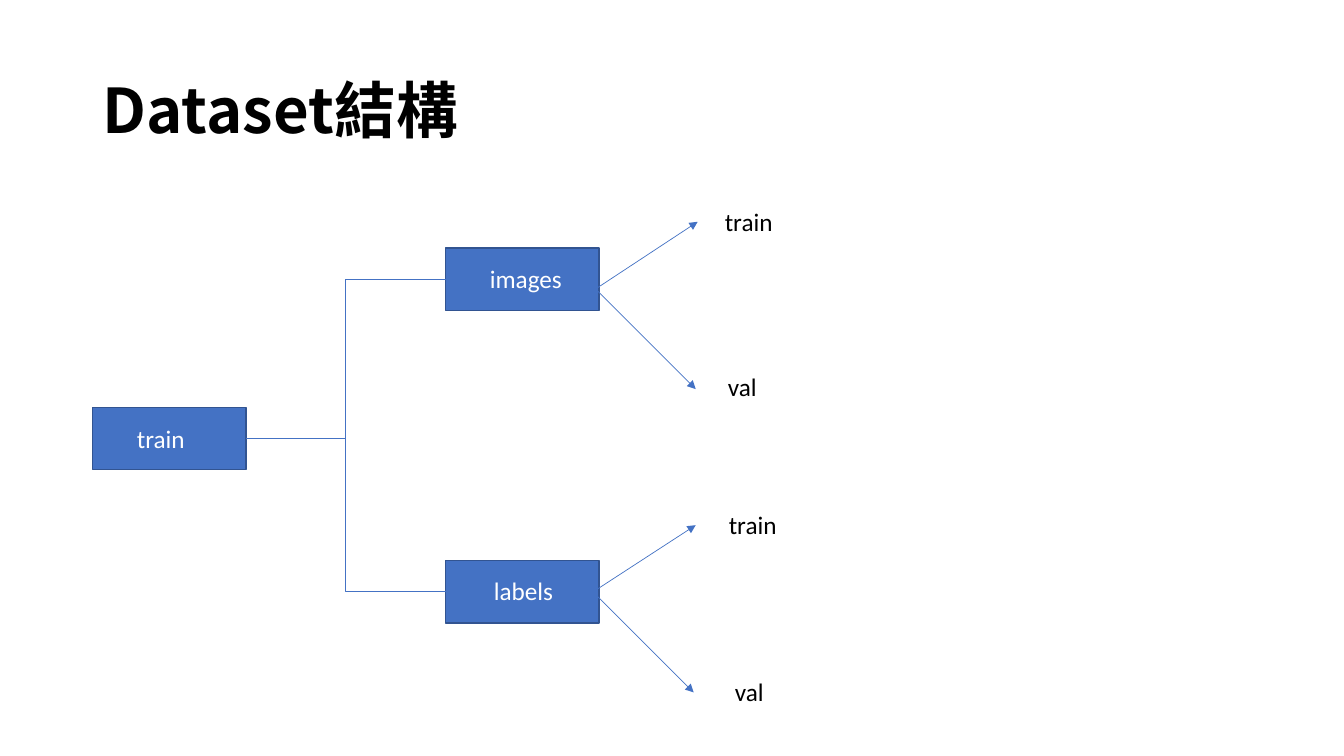
from dataclasses import dataclass

from lxml import etree
from pptx import Presentation
from pptx import util as u
from pptx.dml.color import RGBColor
from pptx.enum import shapes, text
from pptx.oxml import ns


@dataclass(frozen=True)
class Theme:
    """Colours, fonts and type sizes of the slide."""
    ink: str = "000000"
    paper: str = "FFFFFF"
    accent: str = "4472C4"
    border: str = "325491"
    body_font: str = "Calibri"
    title_font: str = "Noto Sans CJK SC"
    body_size: float = 18
    title_size: float = 44
    border_width: float = 1
    link_width: float = 0.5


@dataclass(frozen=True)
class Folder:
    """A folder box with the place of its name."""
    name: str
    left: float
    top: float
    name_left: float
    name_top: float


@dataclass(frozen=True)
class Split:
    """An arrow from a folder to a named subset."""
    name: str
    start: tuple[float, float]
    end: tuple[float, float]
    name_left: float
    name_top: float


THEME = Theme()
FOLDER_SIZE = (1.52, 0.62)
NAME_SIZE = (1.28, 0.4)
ROOT = Folder("train", 0.92, 4.04, 1.26, 4.15)
BRANCHES = {
    Folder("images", 4.42, 2.46, 4.76, 2.56): (
        Split("train", (5.69, 3.01), (6.92, 2.2), 7.09, 2),
        Split("val", (5.9, 2.86), (6.9, 3.86), 7.12, 3.63),
    ),
    Folder("labels", 4.42, 5.56, 4.8, 5.66): (
        Split("train", (5.67, 6.01), (6.9, 5.21), 7.13, 5),
        Split("val", (5.88, 5.87), (6.88, 6.87), 7.19, 6.66),
    ),
}


def add_text(slide, words: str, left: float, top: float, size=NAME_SIZE, *,
             color: str = THEME.ink, font: str = THEME.body_font,
             points: float = THEME.body_size, bold: bool = False,
             anchor=text.MSO_ANCHOR.TOP, spacing: float = 1.0, grow: bool = True):
    """Place one line of text with the given format."""
    label = slide.shapes.add_textbox(*map(u.Inches, (left, top, *size)))
    frame = label.text_frame
    frame.word_wrap = True
    frame.vertical_anchor = anchor
    frame.auto_size = (text.MSO_AUTO_SIZE.SHAPE_TO_FIT_TEXT if grow
                       else text.MSO_AUTO_SIZE.NONE)
    paragraph = frame.paragraphs[0]
    paragraph.line_spacing = spacing
    run = paragraph.add_run()
    run.text = words
    run.font.name, run.font.size, run.font.bold = font, u.Pt(points), bold
    run.font.color.rgb = RGBColor.from_string(color)
    east_asian = etree.SubElement(run.font._element, ns.qn("a:ea"))
    east_asian.set("typeface", font)
    return label


def add_folder(slide, folder: Folder):
    """Draw the box of a folder."""
    box = slide.shapes.add_shape(
        shapes.MSO_SHAPE.RECTANGLE,
        *map(u.Inches, (folder.left, folder.top, *FOLDER_SIZE)))
    box.shadow.inherit = False
    box.fill.solid()
    box.fill.fore_color.rgb = RGBColor.from_string(THEME.accent)
    box.line.color.rgb = RGBColor.from_string(THEME.border)
    box.line.width = u.Pt(THEME.border_width)
    return box


def add_link(parent, kind, start=(0, 0), end=(0, 0), arrow: bool = False):
    """Draw a thin connector, with an arrowhead on request."""
    link = parent.shapes.add_connector(kind, *map(u.Inches, (*start, *end)))
    link.line.color.rgb = RGBColor.from_string(THEME.accent)
    link.line.width = u.Pt(THEME.link_width)
    properties = link._element.spPr
    if arrow:
        head = etree.SubElement(properties.find(ns.qn("a:ln")), ns.qn("a:tailEnd"))
        head.set("type", "triangle")
    etree.SubElement(properties, ns.qn("a:effectLst"))
    return link


def build() -> None:
    """Build the dataset structure slide and save it."""
    deck = Presentation()
    deck.slide_width, deck.slide_height = u.Inches(13.33), u.Inches(7.5)
    slide = deck.slides.add_slide(deck.slide_layouts[6])
    slide.background.fill.solid()
    slide.background.fill.fore_color.rgb = RGBColor.from_string(THEME.paper)

    add_text(slide, "Dataset結構", 0.92, 0.4, (11.5, 1.45), font=THEME.title_font,
             points=THEME.title_size, bold=True, anchor=text.MSO_ANCHOR.MIDDLE,
             spacing=0.9, grow=False)

    root_box = add_folder(slide, ROOT)
    for folder in BRANCHES:
        folder_box = add_folder(slide, folder)
        bracket = add_link(slide, shapes.MSO_CONNECTOR.ELBOW)
        bracket.begin_connect(root_box, 3)
        bracket.end_connect(folder_box, 1)

    for splits in BRANCHES.values():
        fork = slide.shapes.add_group_shape()
        for split in splits:
            add_link(fork, shapes.MSO_CONNECTOR.STRAIGHT, split.start, split.end, arrow=True)

    for folder in (ROOT, *BRANCHES):
        add_text(slide, folder.name, folder.name_left, folder.name_top, color=THEME.paper)
    for splits in BRANCHES.values():
        for split in splits:
            add_text(slide, split.name, split.name_left, split.name_top)

    deck.save("out.pptx")


if __name__ == "__main__":
    build()
